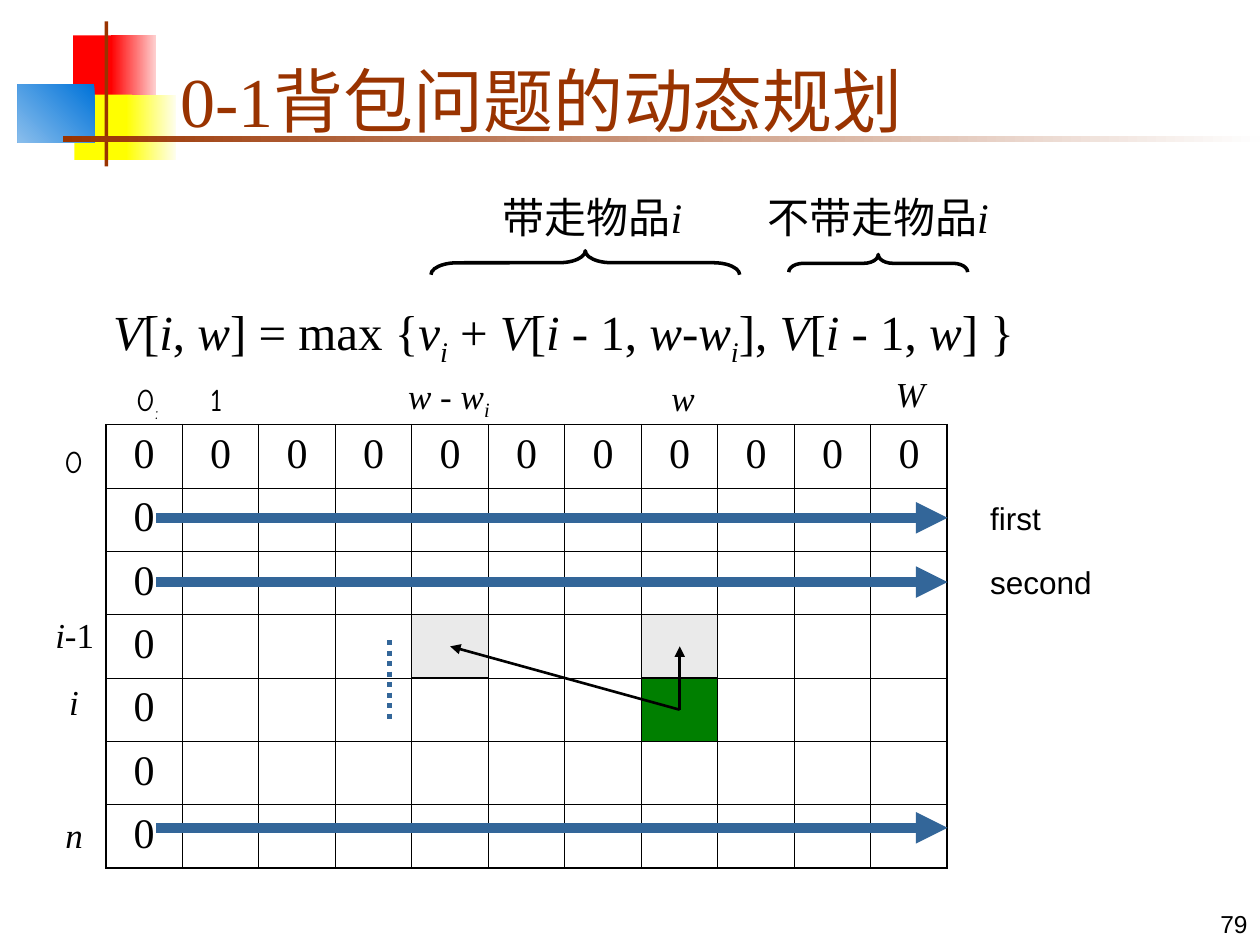
from collections import namedtuple

from lxml.etree import SubElement
from pptx import Presentation
from pptx.dml.color import RGBColor
from pptx.enum.dml import MSO_LINE
from pptx.enum.shapes import MSO_CONNECTOR, MSO_SHAPE
from pptx.enum.text import MSO_ANCHOR, MSO_AUTO_SIZE, PP_ALIGN
from pptx.oxml.ns import qn
from pptx.util import Inches, Pt

Box = namedtuple("Box", "left top width height")

COLORS = {
    "black": "000000", "rust": "993300", "white": "FEFEFE",
    "red": "FF0000", "pale_red": "FED0D0",
    "yellow": "FFFF00", "pale_yellow": "FEFEEF",
    "blue": "0073D9", "pale_blue": "8ABEEC",
    "steel": "336699", "gray": "EAEAEA", "green": "007F00",
}
SERIF, SANS, COMIC = "Times New Roman", "Arial", "Comic Neue"
ROWS, COLUMNS = 7, 11
PREVIOUS_ROW, CURRENT_ROW = 3, 4
TAKEN_COLUMN, WEIGHT_COLUMN = 4, 7


def rgb(name):
    """Return the colour with the given name."""
    return RGBColor.from_string(COLORS[name])


def inches(box):
    """Convert a box into lengths."""
    return [Inches(value) for value in box]


def write(frame, runs, size=20, font=SERIF, color="black", align=PP_ALIGN.LEFT,
          anchor=MSO_ANCHOR.TOP, wrap=False):
    """Write runs, each a text with flags: i for italic, s for subscript."""
    frame.word_wrap = wrap
    frame.vertical_anchor = anchor
    if not wrap:
        frame.auto_size = MSO_AUTO_SIZE.SHAPE_TO_FIT_TEXT
    paragraph = frame.paragraphs[0]
    paragraph.alignment = align
    for text, flags in [(runs, "")] if isinstance(runs, str) else runs:
        run = paragraph.add_run()
        run.text = text
        run.font.name = font
        run.font.size = Pt(size)
        run.font.color.rgb = rgb(color)
        run.font.italic = "i" in flags
        if "s" in flags:
            run.font._element.set("baseline", "-25000")


def add_text(slide, box, runs, **style):
    """Add a text box."""
    write(slide.shapes.add_textbox(*inches(box)).text_frame, runs, **style)


def add_rectangle(slide, box, *colors, angle=180, outlined=False):
    """Add a rectangle with a plain fill, or a gradient for two colours."""
    shape = slide.shapes.add_shape(MSO_SHAPE.RECTANGLE, *inches(box))
    shape.shadow.inherit = False
    if len(colors) == 1:
        shape.fill.solid()
        shape.fill.fore_color.rgb = rgb(colors[0])
    else:
        shape.fill.gradient()
        shape.fill.gradient_angle = angle
        for stop, color in zip(shape.fill.gradient_stops, colors):
            stop.color.rgb = rgb(color)
    if outlined:
        shape.line.color.rgb = rgb("black")
        shape.line.width = Pt(0.75)
    else:
        shape.line.fill.background()


def add_line(slide, start, end, color="black", width=1.5, arrow=True, dash=None):
    """Add a straight line between two points."""
    line = slide.shapes.add_connector(
        MSO_CONNECTOR.STRAIGHT, *inches(start), *inches(end))
    line.line.color.rgb = rgb(color)
    line.line.width = Pt(width)
    if dash:
        line.line.dash_style = dash
    if arrow:
        SubElement(line.line._get_or_add_ln(), qn("a:tailEnd"), type="triangle")
    SubElement(line._element.spPr, qn("a:effectLst"))


def add_brace(slide, box, curve):
    """Add a brace that opens downwards and spans the box."""
    left = box.left + (box.width - box.height) / 2
    top = box.top + (box.height - box.width) / 2
    brace = slide.shapes.add_shape(
        MSO_SHAPE.LEFT_BRACE, *inches((left, top, box.height, box.width)))
    brace.rotation = 90
    brace.adjustments[0] = curve
    brace.shadow.inherit = False
    brace.fill.background()
    brace.line.color.rgb = rgb("black")
    brace.line.width = Pt(2)


def add_decoration(slide, box):
    """Draw the coloured blocks and the rules beside the title."""
    blocks = [
        ((0.44, 0.11, 0.35, 0.52), ["red"]),
        ((0.74, 0.11, 0.36, 0.52), ["pale_red", "red"]),
        ((0.45, 0.58, 0.46, 0.52), ["yellow"]),
        ((0.86, 0.58, 0.4, 0.52), ["pale_yellow", "yellow"]),
        ((0, 0.5, 0.61, 0.46), ["blue", "pale_blue"]),
        ((0.69, 0, 0.03, box.height), ["rust"]),
        ((0.36, 0.91, box.width - 0.36, 0.05), ["white", "rust"]),
    ]
    for (left, top, width, height), colors in blocks:
        add_rectangle(slide, (box.left + left, box.top + top, width, height), *colors,
                      angle=225 if "blue" in colors else 180)


def add_title(slide, box):
    """Place and write the title."""
    title = slide.shapes.title
    title.left, title.top, title.width, title.height = inches(box)
    write(title.text_frame, "0-1背包问题的动态规划", size=40, color="rust",
          anchor=MSO_ANCHOR.BOTTOM, wrap=True)


def add_formula(slide, box):
    """Write the recurrence with its two braces and their captions."""
    left, top = box.left, box.top
    add_text(slide, (left, top + 0.87, box.width, 0.74), [
        ("V", "i"), ("[", ""), ("i", "i"), (", ", ""), ("w", "i"), ("] = max {", ""),
        ("v", "i"), ("i", "is"), (" + ", ""), ("V", "i"), ("[", ""), ("i", "i"),
        (" - 1, ", ""), ("w-w", "i"), ("i", "is"), ("], ", ""), ("V", "i"),
        ("[", ""), ("i ", "i"), ("- 1, ", ""), ("w", "i"), ("] }", ""),
    ], size=28, wrap=True)
    for text, x, width in [("带走物品", 3.09, 1.9), ("不带走物品", 5.19, 2.2)]:
        add_text(slide, (left + x, top, width, 0.5), [(text, ""), ("i", "i")],
                 size=24, wrap=True)
    add_brace(slide, Box(left + 2.62, top + 0.52, 2.45, 0.19), 1.1)
    add_brace(slide, Box(left + 5.46, top + 0.55, 1.42, 0.14), 0.83)


def cell_box(grid, row, column):
    """Return the box of one cell of the grid."""
    width, height = grid.width / COLUMNS, grid.height / ROWS
    return Box(grid.left + column * width, grid.top + row * height, width, height)


def center(box):
    """Return the middle point of a box."""
    return box.left + box.width / 2, box.top + box.height / 2


def format_cell(cell, row, column):
    """Clear the fill of a cell and draw its borders, thicker at the outside."""
    outside = {"L": column == 0, "R": column == COLUMNS - 1,
               "T": row == 0, "B": row == ROWS - 1}
    properties = cell._tc.get_or_add_tcPr()
    for side, thick in outside.items():
        border = SubElement(properties, qn(f"a:ln{side}"),
                            w=str(Pt(1.08 if thick else 0.45)))
        fill = SubElement(border, qn("a:solidFill"))
        SubElement(fill, qn("a:srgbClr"), val=COLORS["black"])
    cell.fill.background()


def add_value_table(slide, grid):
    """Add the value table with zeros in the first row and column."""
    table = slide.shapes.add_table(ROWS, COLUMNS, *inches(grid)).table
    table.first_row = table.horz_banding = False
    for column in table.columns:
        column.width = Inches(grid.width / COLUMNS)
    for row in range(ROWS):
        table.rows[row].height = Inches(grid.height / ROWS)
        for column in range(COLUMNS):
            cell = table.cell(row, column)
            format_cell(cell, row, column)
            if row == 0 or column == 0:
                write(cell.text_frame, "0", size=24, align=PP_ALIGN.CENTER, wrap=True)


def add_labels(slide, grid):
    """Write the column labels above the grid and the row labels beside it."""
    labels = [
        (0.14, -0.4, 0.38, [("0", ""), (":", "s")], COMIC),
        (0.73, -0.4, 0.3, "1", COMIC),
        (2.3, -0.45, 0.85, [("w - w", "i"), ("i", "is")], SERIF),
        (4.39, -0.43, 0.38, [("w", "i")], SERIF),
        (6.17, -0.46, 0.43, [("W", "i")], SERIF),
        (-0.43, 0.09, 0.35, "0", COMIC),
        (-0.5, 1.45, 0.51, [("i", "i"), ("-1", "")], SERIF),
        (-0.39, 1.98, 0.27, [("i", "i")], SERIF),
        (-0.42, 3.04, 0.34, [("n", "i")], SERIF),
    ]
    for x, y, width, runs, font in labels:
        add_text(slide, (grid.left + x, grid.top + y, width, 0.44), runs,
                 font=font, size=18 if font == COMIC else 20)


def add_steps(slide, grid):
    """Draw the filling order and the cells that one value depends on."""
    current = cell_box(grid, CURRENT_ROW, WEIGHT_COLUMN)
    sources = [cell_box(grid, PREVIOUS_ROW, column)
               for column in (WEIGHT_COLUMN, TAKEN_COLUMN)]
    for source in sources:
        add_rectangle(slide, source, "gray", outlined=True)
    for source in sources:
        add_line(slide, center(current), center(source))
    right = grid.left + grid.width
    for y, caption in [(0.74, "first"), (1.25, "second"), (3.2, None)]:
        y += grid.top
        add_line(slide, (grid.left + 0.4, y), (right, y), color="steel", width=6)
        if caption:
            add_text(slide, (right + 0.24, y - 0.2, 1.2, 0.4), caption,
                     size=18, font=SANS, wrap=True)
    x = grid.left + 2.25
    add_line(slide, (x, grid.top + 1.71), (x, grid.top + 2.37), color="steel",
             width=3, arrow=False, dash=MSO_LINE.ROUND_DOT)


def main():
    """Build the slide and save it."""
    presentation = Presentation()
    presentation.slide_width, presentation.slide_height = Inches(10), Inches(7.5)
    slide = presentation.slides.add_slide(presentation.slide_layouts[5])
    grid = Box(0.84, 3.37, 6.68, 3.52)
    add_decoration(slide, Box(0.14, 0.17, 9.86, 1.15))
    add_title(slide, Box(1.33, 0.25, 8.52, 0.92))
    add_rectangle(slide, cell_box(grid, CURRENT_ROW, WEIGHT_COLUMN), "green", outlined=True)
    add_value_table(slide, grid)
    add_labels(slide, grid)
    add_formula(slide, Box(0.8, 1.47, 9, 1.61))
    add_steps(slide, grid)
    add_text(slide, (7.92, 7, 2.08, 0.5), "79", size=14, font=SANS,
             align=PP_ALIGN.RIGHT, anchor=MSO_ANCHOR.BOTTOM, wrap=True)
    presentation.save("out.pptx")


if __name__ == "__main__":
    main()
